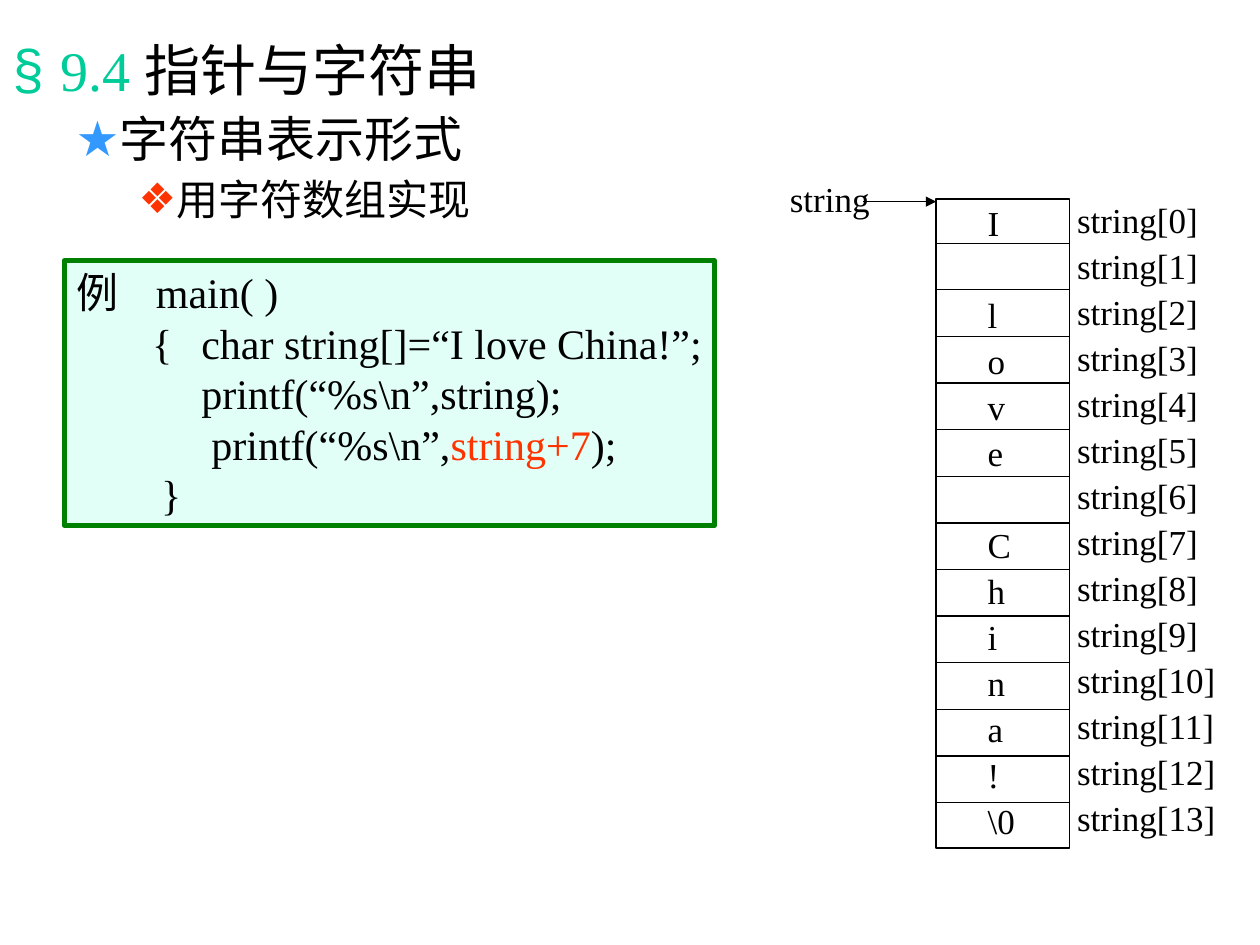
from pptx import Presentation
from pptx.dml.color import RGBColor
from pptx.enum.shapes import MSO_CONNECTOR as LINE, MSO_SHAPE as SHAPE
from pptx.enum.text import MSO_ANCHOR as ANCHOR, MSO_AUTO_SIZE as FIT, PP_ALIGN as ALIGN
from pptx.oxml.ns import qn
from pptx.util import Inches, Pt
from lxml.etree import SubElement

FONT = "Times New Roman"
COLORS = {
    "black": "000000",
    "teal": "00CC99",
    "blue": "3399FF",
    "red": "FF3300",
    "green": "008000",
    "mint": "E1FFF7",
}
HEADS = [
    ("§", "teal", 32, 8, 0.38, 0.38, [("9.4 ", "teal"), ("指针与字符串", "black")]),
    ("★", "blue", 28, 7, 0.81, 0.31, [("字符串表示形式", "black")]),
    ("❖", "red", 24, 6, 1.25, 0.25, [("用字符数组实现", "black")]),
]
CODE = [
    (0.63, 0.63, [("例\tmain( )", "black")]),
    (0.99, 0.39, [("{\tchar string[]=“I love China!”;", "black")]),
    (0.99, 0, [("printf(“%s\\n”,string);", "black")]),
    (1.07, 0, [("printf(“%s\\n”,", "black"), ("string+7", "red"), (");", "black")]),
    (0.67, 0, [("}", "black")]),
]
CELLS = list("I love China!") + ["\\0"]


def color(name):
    return RGBColor.from_string(COLORS[name])


def indent(para, left, hang):
    props = para._p.get_or_add_pPr()
    props.set("marL", str(Inches(left)))
    props.set("indent", str(-Inches(hang)))
    return props


def write(para, runs, size):
    para.font.size = Pt(size)
    para.font.name = FONT
    for text, name in runs:
        run = para.add_run()
        run.text = text
        run.font.color.rgb = color(name)


def bullet(props, char, name):
    fill = SubElement(props, qn("a:buClr"))
    SubElement(fill, qn("a:srgbClr")).set("val", COLORS[name])
    SubElement(props, qn("a:buChar")).set("char", char)


def heads(slide, x, y, w, h):
    body = slide.placeholders[1]
    body.left, body.top = Inches(x), Inches(y)
    body.width, body.height = Inches(w), Inches(h)
    frame = body.text_frame
    frame.auto_size = FIT.NONE
    for level, (char, name, size, gap, left, hang, runs) in enumerate(HEADS):
        para = frame.add_paragraph() if level else frame.paragraphs[0]
        para.level = level
        para.line_spacing = 0.9
        para.space_before = Pt(gap)
        bullet(indent(para, left, hang), char, name)
        write(para, runs, size)


def rect(slide, x, y, w, h, line, width):
    box = slide.shapes.add_shape(SHAPE.RECTANGLE, Inches(x), Inches(y), Inches(w), Inches(h))
    box.shadow.inherit = False
    box.fill.background()
    box.line.color.rgb = color(line)
    box.line.width = Pt(width)
    return box


def code(slide, x, y, w, h):
    box = rect(slide, x, y, w, h, "green", 3)
    box.fill.solid()
    box.fill.fore_color.rgb = color("mint")
    frame = box.text_frame
    frame.word_wrap = True
    frame.margin_right = 0
    frame.vertical_anchor = ANCHOR.TOP
    for row, (left, hang, runs) in enumerate(CODE):
        para = frame.add_paragraph() if row else frame.paragraphs[0]
        para.alignment = ALIGN.LEFT
        indent(para, left, hang)
        write(para, runs, 24)


def label(slide, text, x, y, w):
    box = slide.shapes.add_textbox(Inches(x), Inches(y), Inches(w), Inches(0.44))
    box.text_frame.word_wrap = True
    write(box.text_frame.paragraphs[0], [(text, "black")], 20)


def rule(slide, x1, x2, y):
    line = slide.shapes.add_connector(LINE.STRAIGHT, Inches(x1), Inches(y), Inches(x2), Inches(y))
    line.line.color.rgb = color("black")
    line.line.width = Pt(0.75)
    SubElement(line._element.spPr, qn("a:effectLst"))
    return line


def memory(slide, x, y, w, h):
    rect(slide, x, y, w, h, "black", 0.75)
    step = 0.365
    for row, char in enumerate(CELLS):
        if row:
            rule(slide, x, x + w, y + 0.35 + (row - 1) * 0.37)
        if char != " ":
            label(slide, char, x + 0.31, y - 0.03 + row * step, 0.45)
        label(slide, f"string[{row}]", x + 1.02, y - 0.05 + row * step, 1.35)
    label(slide, "string", x - 1.26, y - 0.22, 0.9)
    arrow = rule(slide, x - 0.58, x, y + 0.02)
    SubElement(arrow.line._get_or_add_ln(), qn("a:tailEnd")).set("type", "triangle")


def main():
    deck = Presentation()
    deck.slide_width, deck.slide_height = Inches(10), Inches(7.5)
    slide = deck.slides.add_slide(deck.slide_layouts[1])
    title = slide.shapes.title._element
    title.getparent().remove(title)
    heads(slide, 0, 0.29, 9.41, 1.65)
    code(slide, 0.51, 2.07, 5.16, 2.1)
    memory(slide, 7.43, 1.58, 1.06, 5.15)
    deck.save("out.pptx")


if __name__ == "__main__":
    main()
